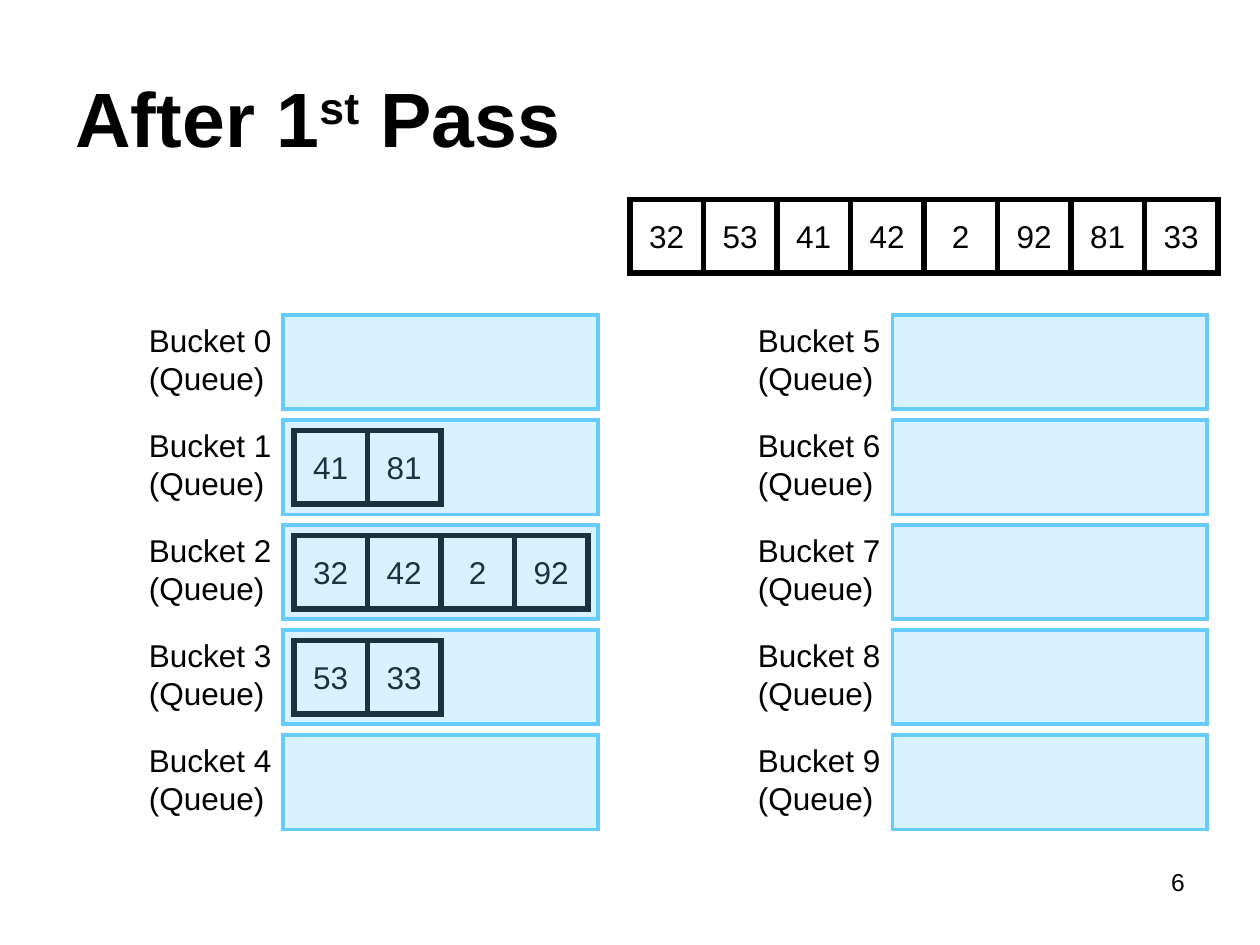
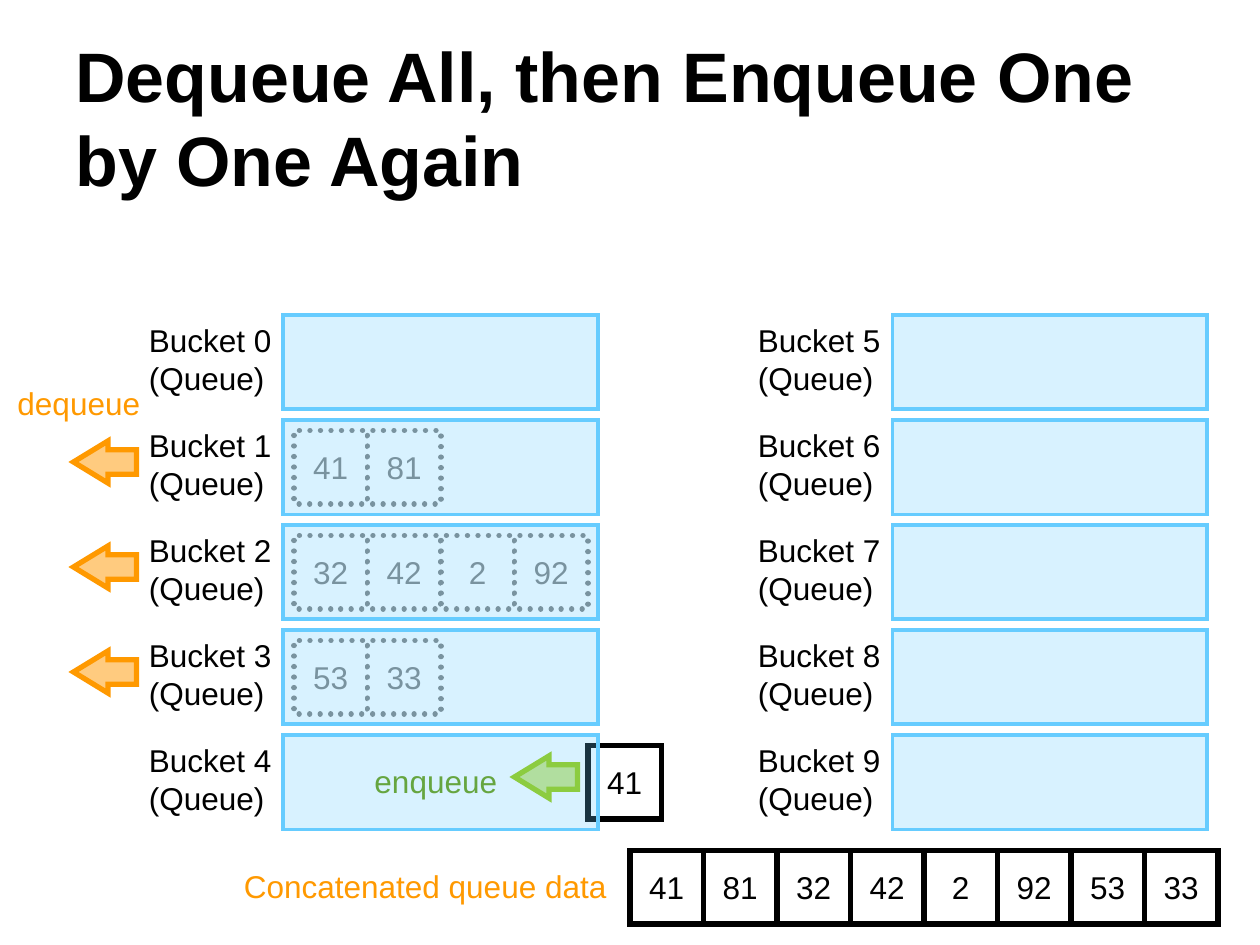
from dataclasses import dataclass

from lxml import etree
from pptx import Presentation
from pptx import util as u
from pptx.dml.color import RGBColor
from pptx.enum import dml, shapes, text
from pptx.oxml import ns


@dataclass(frozen=True)
class Theme:
    font: str = "Arial"
    ink: str = "000000"
    paper: str = "FFFFFF"
    faded: str = "808080"
    bucket: str = "66CCFF"
    dequeue: str = "FF9900"
    enqueue: str = "99CC00"
    enqueue_text: str = "669900"
    body: int = 18
    number: int = 14
    bucket_line: float = 2.25
    line: float = 3


THEME = Theme()
ALIGN = text.PP_ALIGN

# GRID_PLACEHOLDER
UNIT = u.Inches(1) / 12
CELL = 7
ROWS = 5
ROW_PITCH = 10
COLUMN_PITCH = 58
BUCKET_LEFT, BUCKET_TOP = 27, 30
BUCKET_WIDTH, BUCKET_HEIGHT = 30, 9
LABEL_LEFT, LABEL_WIDTH = 13, 15
STRIP_LEFT = 60
QUEUES = {1: ("41", "81"), 2: ("32", "42", "2", "92"), 3: ("53", "33")}


def grid(*lengths):
    return [round(n * UNIT) for n in lengths]


def bucket_origin(number):
    column, row = divmod(number, ROWS)
    return column * COLUMN_PITCH, BUCKET_TOP + row * ROW_PITCH


def add_run(p, words, size, color=THEME.ink, bold=False, raised=0):
    r = p.add_run()
    r.text = words
    r.font.name = THEME.font
    r.font.size = u.Pt(size)
    r.font.bold = bold
    r.font.color.rgb = RGBColor.from_string(color)
    if raised:
        r._r.get_or_add_rPr().set("baseline", str(raised * 1000))


def add_text(s, box, words, size=THEME.body, color=THEME.ink, align=ALIGN.LEFT):
    tf = s.shapes.add_textbox(*grid(*box)).text_frame
    tf.word_wrap = True
    p = tf.paragraphs[0]
    p.alignment = align
    add_run(p, words, size, color)


def add_title(s, size, runs):
    tf = s.shapes.add_textbox(*grid(6, 3.6, 108, 15)).text_frame
    tf.word_wrap = True
    tf.vertical_anchor = text.MSO_ANCHOR.MIDDLE
    for words, raised in runs:
        add_run(tf.paragraphs[0], words, size, bold=True, raised=raised)


def add_block(s, kind, box, fill, line, width=THEME.line, opacity=100):
    sp = s.shapes.add_shape(kind, *grid(*box))
    sp.shadow.inherit = False
    sp.fill.solid()
    sp.fill.fore_color.rgb = RGBColor.from_string(fill)
    if opacity < 100:
        color = sp._element.spPr.find(".//" + ns.qn("a:srgbClr"))
        etree.SubElement(color, ns.qn("a:alpha"), val=str(opacity * 1000))
    sp.line.color.rgb = RGBColor.from_string(line)
    sp.line.width = u.Pt(width)
    etree.SubElement(sp.line._get_or_add_ln(), ns.qn("a:miter"), lim="800000")
    return sp


def add_cells(s, left, top, values, color=THEME.ink, dotted=False):
    for i, value in enumerate(values):
        box = (left + i * CELL, top, CELL, CELL)
        sp = add_block(s, shapes.MSO_SHAPE.RECTANGLE, box, THEME.paper, color)
        if dotted:
            sp.line.dash_style = dml.MSO_LINE.ROUND_DOT
            sp.line._get_or_add_ln().set("cap", "rnd")
        tf = sp.text_frame
        tf.word_wrap = False
        tf.vertical_anchor = text.MSO_ANCHOR.MIDDLE
        p = tf.paragraphs[0]
        p.alignment = ALIGN.CENTER
        add_run(p, value, THEME.body, color)


def add_queues(s, color=THEME.ink, dotted=False):
    for number, values in QUEUES.items():
        left, top = bucket_origin(number)
        add_cells(s, left + BUCKET_LEFT + 1, top + 1, values, color, dotted)


def add_buckets(s):
    for number in range(2 * ROWS):
        left, top = bucket_origin(number)
        add_text(s, (left + LABEL_LEFT, top, LABEL_WIDTH, 8.4),
                 f"Bucket {number} (Queue)")
        add_block(s, shapes.MSO_SHAPE.RECTANGLE,
                  (left + BUCKET_LEFT, top, BUCKET_WIDTH, BUCKET_HEIGHT),
                  THEME.bucket, THEME.bucket, THEME.bucket_line, opacity=25)


def add_arrow(s, left, top, color):
    sp = add_block(s, shapes.MSO_SHAPE.LEFT_ARROW, (left, top, 6, 4),
                   color, color, opacity=50)
    sp.adjustments[0] = 0.58
    sp.adjustments[1] = 0.82


def build_after_pass(s):
    add_title(s, 44, [("After 1", 0), ("st", 30), (" Pass", 0)])
    add_text(s, (86, 82, 28, 6.25), "6", THEME.number, align=ALIGN.RIGHT)
    add_cells(s, STRIP_LEFT, 19,
              ("32", "53", "41", "42", "2", "92", "81", "33"))
    add_queues(s)
    add_buckets(s)


def build_dequeue_all(s):
    add_title(s, 40, [("Dequeue All, then Enqueue One by One Again", 0)])
    joined = [value for values in QUEUES.values() for value in values]
    add_cells(s, STRIP_LEFT, 81, joined)
    add_text(s, (22, 82, 37, 4.8), "Concatenated queue data",
             color=THEME.dequeue, align=ALIGN.CENTER)
    add_queues(s, THEME.faded, dotted=True)
    add_text(s, (0, 36, 15, 4.8), "dequeue",
             color=THEME.dequeue, align=ALIGN.CENTER)
    for number in QUEUES:
        add_arrow(s, 7, bucket_origin(number)[1] + 2, THEME.dequeue)
    target_top = bucket_origin(4)[1]
    add_cells(s, 56, target_top + 1, joined[:1])
    add_arrow(s, 49, target_top + 2, THEME.enqueue)
    add_text(s, (34, target_top + 2, 15, 4.8), "enqueue",
             color=THEME.enqueue_text, align=ALIGN.CENTER)
    add_buckets(s)


def main():
    prs = Presentation()
    prs.slide_width, prs.slide_height = grid(120, 90)
    for build in (build_after_pass, build_dequeue_all):
        build(prs.slides.add_slide(prs.slide_layouts[6]))
    prs.save("out.pptx")


if __name__ == "__main__":
    main()
